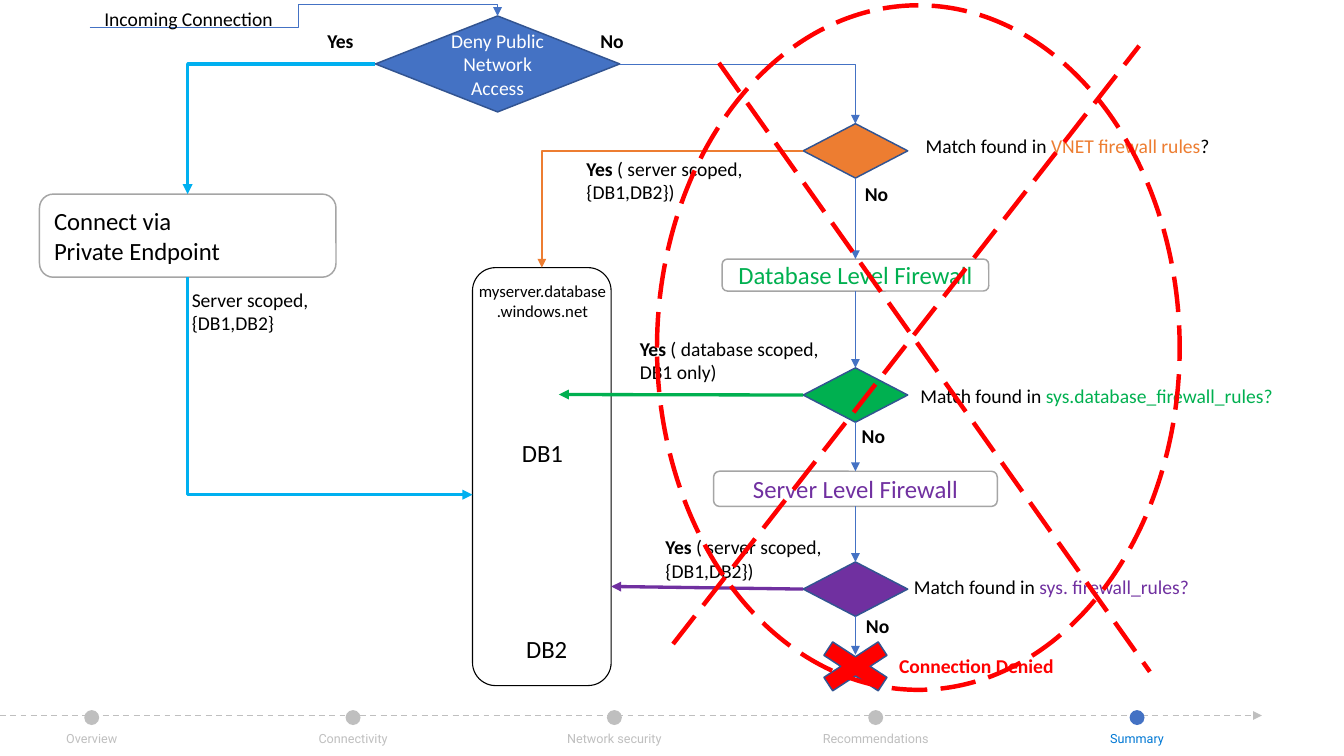
from lxml import etree
from pptx import Presentation
from pptx.dml.color import RGBColor
from pptx.enum import dml, shapes, text
from pptx.oxml.ns import qn
from pptx.util import Inches, Pt

# ---- Content ----
COLORS = {
    "black": "000000", "white": "FFFFFF", "gray": "A5A5A5", "light": "BFBFBF",
    "blue": "4472C4", "edge": "325491", "sky": "00B0F0", "azure": "0078D4",
    "green": "00B050", "purple": "7030A0", "orange": "ED7D31", "red": "FF0000",
}
BODY, LARGE, SMALL, TINY = 13.2, 16.7, 11.3, 8.5

# name: preset, (left, top, width, height), fill, line, line width
AXIS = 8.02  # centre line of the checks
DECISION, ROUNDED = "FLOWCHART_DECISION", "ROUNDED_RECTANGLE"
NODES = {
    "public": (DECISION, (3.52, 0.15, 2.29, 0.9), "blue", "edge", 1),
    "vnet": (DECISION, (AXIS - 0.49, 1.16, 0.98, 0.51), "orange", "edge", 1),
    "db level": (ROUNDED, (AXIS - 1.25, 2.43, 2.5, 0.3), "white", "gray", 1),
    "db rules": (DECISION, (AXIS - 0.49, 3.45, 0.98, 0.51), "green", "edge", 1),
    "server level": (ROUNDED, (AXIS - 1.33, 4.42, 2.66, 0.33), "white", "gray", 1),
    "server rules": (DECISION, (AXIS - 0.49, 5.27, 0.98, 0.51), "purple", "edge", 1),
    "denied": ("MATH_MULTIPLY", (AXIS - 0.49, 5.93, 0.98, 0.64), "red", "edge", 1),
    "server": (ROUNDED, (4.43, 2.51, 1.3, 3.92), None, "black", 0.75),
    "endpoint": (ROUNDED, (0.37, 1.82, 2.78, 0.78), "white", "gray", 1),
}
# name: paragraphs, size, colour, alignment
NODE_TEXTS = {
    "public": (["Deny Public Network Access"], BODY, "white", "CENTER"),
    "db level": (["Database Level Firewall"], LARGE, "green", "CENTER"),
    "server level": (["Server Level Firewall"], LARGE, "purple", "CENTER"),
    "endpoint": (["Connect via", "Private Endpoint"], LARGE, "black", "LEFT"),
}
# (left, top, width, height), runs of (text, colour, bold), size, alignment
YES, NO = ("Yes", "black", True), [("No", "black", True)]
MATCH = ("Match found in ", "black", False)
LABELS = [
    ((0.88, 0.02, 1.87, 0.32), [("Incoming Connection", "black", False)], BODY, "LEFT"),
    ((2.97, 0.22, 0.51, 0.32), [YES], BODY, "LEFT"),
    ((5.53, 0.22, 0.51, 0.32), NO, BODY, "LEFT"),
    ((8.01, 1.66, 0.51, 0.32), NO, BODY, "LEFT"),
    ((7.98, 3.93, 0.51, 0.32), NO, BODY, "LEFT"),
    ((8.02, 5.71, 0.51, 0.32), NO, BODY, "LEFT"),
    ((5.4, 1.42, 1.76, 0.55),
     [YES, (" ( server scoped, {DB1,DB2})", "black", False)], BODY, "LEFT"),
    ((5.9, 3.11, 1.89, 0.55),
     [YES, (" ( database scoped, DB1 only)", "black", False)], BODY, "LEFT"),
    ((6.14, 4.97, 1.89, 0.55),
     [YES, (" ( server scoped, {DB1,DB2})", "black", False)], BODY, "LEFT"),
    ((8.58, 1.21, 3.94, 0.32),
     [MATCH, ("VNET firewall rules", "orange", False), ("?", "black", False)], BODY, "LEFT"),
    ((8.53, 3.55, 3.63, 0.32),
     [MATCH, ("sys.database_firewall_rules?", "green", False)], BODY, "LEFT"),
    ((8.47, 5.34, 2.79, 0.32),
     [MATCH, ("sys. firewall_rules?", "purple", False)], BODY, "LEFT"),
    ((4.68, 4.06, 0.81, 0.38), [("DB1", "black", False)], LARGE, "CENTER"),
    ((4.72, 5.89, 0.81, 0.38), [("DB2", "black", False)], LARGE, "CENTER"),
    ((4.38, 2.58, 1.41, 0.48),
     [("myserver.database.windows.net", "black", False)], SMALL, "CENTER"),
    ((8.33, 6.08, 1.89, 0.32), [("Connection Denied", "red", True)], BODY, "LEFT"),
    ((1.7, 2.65, 1.34, 0.55), [("Server scoped, {DB1,DB2}", "black", False)], BODY, "LEFT"),
]
# An end is (node, side) or a point (x, y); sides: 0 top, 1 left, 2 bottom, 3 right
# start, finish, colour, width, bend preset, arrow end
FLOWS = [
    (("vnet", 2), ("db level", 0), "blue", 0.5, None, "tailEnd"),
    (("db level", 2), ("db rules", 0), "blue", 0.5, None, "tailEnd"),
    (("db rules", 2), ("server level", 0), "blue", 0.5, None, "tailEnd"),
    (("server level", 2), ("server rules", 0), "blue", 0.5, None, "tailEnd"),
    (("server rules", 2), (AXIS, 6.14), "blue", 0.5, None, "tailEnd"),
    (("db rules", 1), (5.24, 3.7), "green", 2.25, None, "tailEnd"),
    (("server rules", 1), (5.73, 5.5), "purple", 2.25, None, "tailEnd"),
    (("vnet", 1), ("server", 0), "orange", 1.5, "bentConnector2", "tailEnd"),
    (("public", 3), ("vnet", 0), "blue", 0.5, "bentConnector2", "tailEnd"),
    (("public", 1), ("endpoint", 0), "sky", 2.25, "bentConnector2", "tailEnd"),
    ((4.43, 4.64), ("endpoint", 2), "sky", 2.25, "bentConnector2", "headEnd"),
    ((0.84, 0.26), ("public", 0), "blue", 0.5, "bentConnector4", "tailEnd"),
]
BEND_ADJUSTMENTS = {"bentConnector4": {"adj1": 51200, "adj2": 199400}}
CROSS_OUT = [((6.74, 0.59), (10.78, 6.3)), ((6.31, 6.04), (10.68, 0.43))]
STEPS = ["Overview", "Connectivity", "Network security", "Recommendations", "Summary"]
CURRENT_STEP = "Summary"

prs = Presentation()
prs.slide_width, prs.slide_height = Inches(12.6), Inches(7.09)
slide = prs.slides.add_slide(prs.slide_layouts[6])


def rgb(color):
    return RGBColor.from_string(COLORS[color])


def set_line(line, color, width, dash=None):
    line.color.rgb = rgb(color)
    line.width = Pt(width)
    if dash:
        line.dash_style = getattr(dml.MSO_LINE, dash)


def add_node(preset, box, fill, line=None, width=1, dash=None):
    node = slide.shapes.add_shape(getattr(shapes.MSO_SHAPE, preset), *map(Inches, box))
    node.shadow.inherit = False
    if fill:
        node.fill.solid()
        node.fill.fore_color.rgb = rgb(fill)
    else:
        node.fill.background()
    if line:
        set_line(node.line, line, width, dash)
    else:
        node.line.fill.background()
    return node


def write(paragraph, runs, size, align, font="Calibri"):
    paragraph.alignment = getattr(text.PP_ALIGN, align)
    for words, color, bold in runs:
        run = paragraph.add_run()
        run.text = words
        for key, value in {"name": font, "size": Pt(size), "bold": bold}.items():
            setattr(run.font, key, value)
        run.font.color.rgb = rgb(color)


def add_label(box, runs, size, align, font="Calibri", inset=True):
    label = slide.shapes.add_textbox(*map(Inches, box))
    frame = label.text_frame
    frame.word_wrap = True
    frame.auto_size = text.MSO_AUTO_SIZE.SHAPE_TO_FIT_TEXT
    if not inset:
        for side in ("left", "top", "right", "bottom"):
            setattr(frame, "margin_" + side, 0)
    write(frame.paragraphs[0], runs, size, align, font)


def locate(end):
    if end[0] not in NODES:
        return end
    left, top, width, height = NODES[end[0]][1]
    across, down = [(0.5, 0), (0, 0.5), (0.5, 1), (1, 0.5)][end[1]]
    return left + across * width, top + down * height


def add_flow(start, finish, color, width, bend=None, arrow=None, dash=None):
    kind = shapes.MSO_CONNECTOR.ELBOW if bend else shapes.MSO_CONNECTOR.STRAIGHT
    flow = slide.shapes.add_connector(kind, *map(Inches, locate(start) + locate(finish)))
    for end, join in ((start, flow.begin_connect), (finish, flow.end_connect)):
        if end[0] in NODES:
            join(nodes[end[0]], end[1])
    set_line(flow.line, color, width, dash)
    properties = flow._element.spPr
    if bend:
        geometry = properties.find(qn("a:prstGeom"))
        geometry.set("prst", bend)
        for name, value in BEND_ADJUSTMENTS.get(bend, {}).items():
            etree.SubElement(geometry.find(qn("a:avLst")), qn("a:gd"),
                             name=name, fmla=f"val {value}")
    if arrow:
        etree.SubElement(properties.find(qn("a:ln")), qn("a:" + arrow), type="triangle")
    etree.SubElement(properties, qn("a:effectLst"))


# ---- Flowchart ----
nodes = {name: add_node(*style) for name, style in NODES.items()}
for name, (lines, size, color, align) in NODE_TEXTS.items():
    frame = nodes[name].text_frame
    frame.word_wrap = True
    frame.vertical_anchor = text.MSO_ANCHOR.MIDDLE
    for i, words in enumerate(lines):
        paragraph = frame.add_paragraph() if i else frame.paragraphs[0]
        write(paragraph, [(words, color, False)], size, align)
for flow in FLOWS:
    add_flow(*flow)
for label in LABELS:
    add_label(*label)

# ---- Crossed-out public path ----
add_node("OVAL", (6.16, 0.05, 4.9, 6.42), None, "red", 3, "LONG_DASH")
for start, finish in CROSS_OUT:
    add_flow(start, finish, "red", 3, dash="LONG_DASH")

# ---- Progress line ----
FIRST_STEP, STEP_GAP, DOT, STEP_WIDTH = 0.86, 2.45, 0.14, 1.02
add_flow((0, 6.71), (11.83, 6.71), "light", 1, arrow="tailEnd", dash="DASH")
for i, step in enumerate(STEPS):
    center = FIRST_STEP + i * STEP_GAP
    dot_color, step_color = ("blue", "azure") if step == CURRENT_STEP else ("light", "light")
    add_node("OVAL", (center - DOT / 2, 6.66, DOT, DOT), dot_color)
    add_label((center - STEP_WIDTH / 2, 6.86, STEP_WIDTH, 0.14),
              [(step, step_color, False)], TINY, "CENTER", "Roboto", inset=False)

prs.save("out.pptx")
